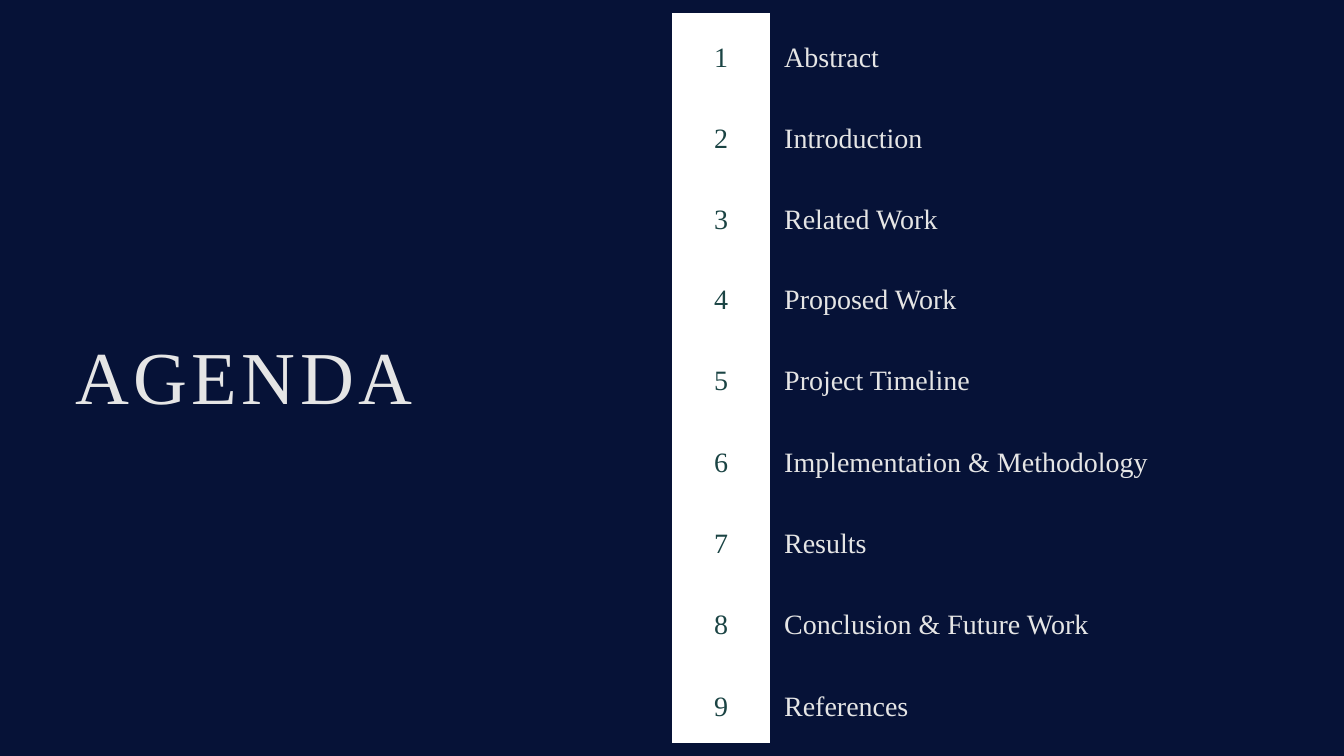
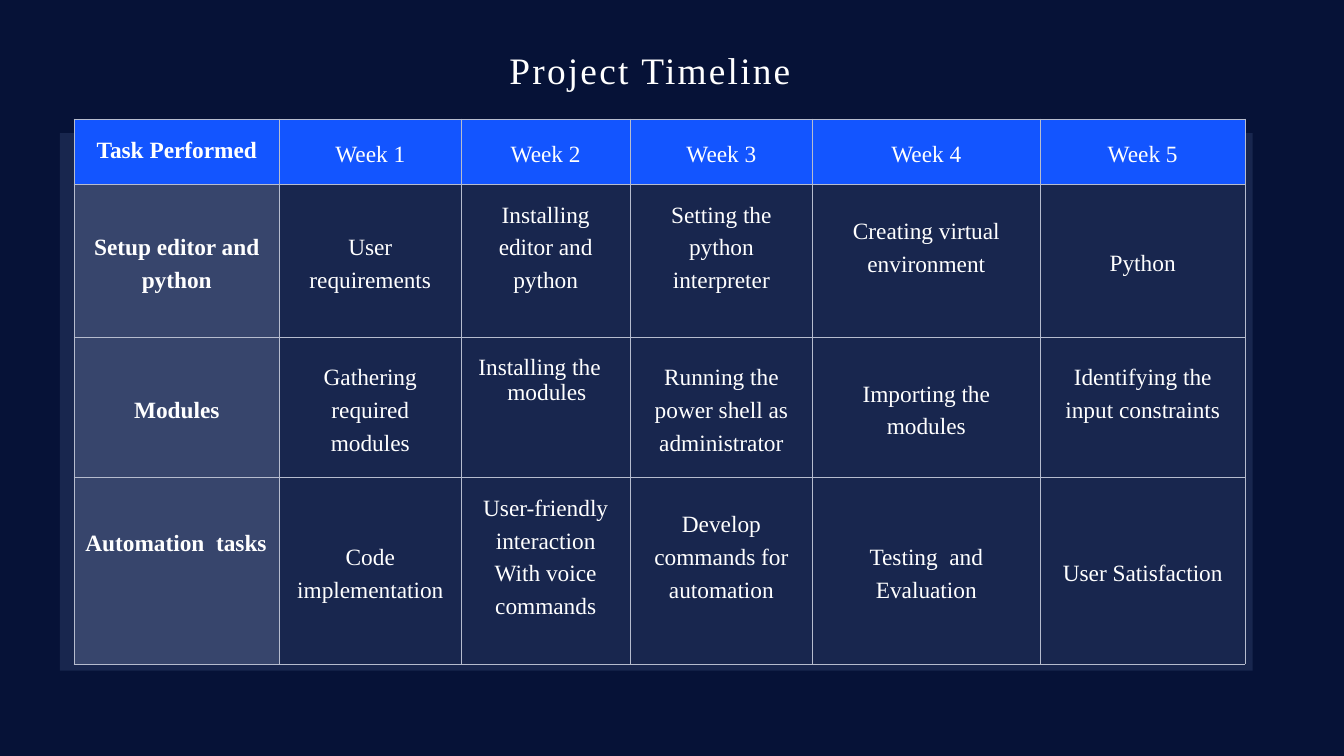
from lxml import etree
from pptx import Presentation
from pptx.dml.color import RGBColor
from pptx.enum.shapes import MSO_SHAPE
from pptx.enum.text import MSO_ANCHOR, MSO_AUTO_SIZE, PP_ALIGN
from pptx.oxml.ns import qn
from pptx.util import Inches, Pt

LEFT, CENTER, JUSTIFY = PP_ALIGN.LEFT, PP_ALIGN.CENTER, PP_ALIGN.JUSTIFY
TOP, MIDDLE = MSO_ANCHOR.TOP, MSO_ANCHOR.MIDDLE
RECTANGLE = MSO_SHAPE.RECTANGLE
NO_AUTOFIT = MSO_AUTO_SIZE.NONE

FONT = "Times New Roman"
COLORS = {
    "background": "061237",
    "light": "E5E5E5",
    "white": "FFFFFF",
    "number": "1B4444",
    "panel": "18264E",
    "header": "1355FF",
    "task": "37456C",
    "border": "B6BCCE",
}

AGENDA = [
    "Abstract", "Introduction", "Related Work", "Proposed Work",
    "Project Timeline", "Implementation & Methodology", "Results",
    "Conclusion & Future Work", "References",
]
AGENDA_ROWS = [1.21, 1.21, 1.18, 1.21, 1.21, 1.21, 1.21, 1.21, 1.21]

# Each cell holds its paragraphs, one a line
TIMELINE = [
    ["Task Performed", "Week 1", "Week 2", "Week 3", "Week 4", "Week 5"],
    ["Setup editor and python", "User requirements",
     "Installing editor and python", "Setting the python interpreter",
     "Creating virtual environment", "Python"],
    ["Modules", "Gathering required modules", "Installing the modules",
     "Running the power shell as administrator", "Importing the modules",
     "Identifying the input constraints"],
    ["Automation  tasks", "Code\nimplementation",
     "User-friendly interaction\nWith voice commands",
     "Develop commands for\nautomation", "Testing  and Evaluation",
     "User Satisfaction"],
]
TIMELINE_COLUMNS = [3.06, 2.7, 2.52, 2.71, 3.39, 3.05]
TIMELINE_ROWS = [0.97, 2.27, 2.08, 2.78]

# Cells whose text sits above the middle, with the room left below it
RAISED = {(1, 2): 0.48, (1, 3): 0.48, (1, 4): 0.48, (2, 5): 0.48,
          (3, 2): 0.48, (3, 3): 0.48, (2, 2): 0.8, (3, 0): 0.8}
# Cells with single line spacing, aligned left
SINGLE_SPACED = {(2, 2), (3, 0)}


def color(name):
    return RGBColor.from_string(COLORS[name])


def add_run(paragraph, text, size, color_name, bold=False, spacing=0):
    run = paragraph.add_run()
    run.text = text
    run.font.name = FONT
    run.font.size = Pt(size)
    run.font.bold = bold
    run.font.color.rgb = color(color_name)
    if spacing:
        run._r.get_or_add_rPr().set("spc", str(round(spacing * 100)))


def add_title_slide(presentation, text, box, size, color_name, alignment):
    """Add a slide with the shared background and title style."""
    slide = presentation.slides.add_slide(presentation.slide_layouts[5])
    slide.background.fill.solid()
    slide.background.fill.fore_color.rgb = color("background")
    title = slide.shapes.title
    title.left, title.top, title.width, title.height = map(Inches, box)
    frame = title.text_frame
    frame.margin_left = frame.margin_right = 0
    frame.margin_top = frame.margin_bottom = 0
    frame.vertical_anchor = TOP
    frame.auto_size = NO_AUTOFIT
    frame.word_wrap = True
    paragraph = frame.paragraphs[0]
    paragraph.alignment = alignment
    paragraph.line_spacing = Pt(size * 1.64)
    add_run(paragraph, text, size, color_name, spacing=size * 0.06)
    return slide


def add_plain_table(slide, left, top, columns, rows):
    frame = slide.shapes.add_table(
        len(rows), len(columns), Inches(left), Inches(top),
        Inches(sum(columns)), Inches(sum(rows)))
    table = frame.table
    table.first_row = table.horz_banding = False
    for column, width in zip(table.columns, columns):
        column.width = Inches(width)
    for row, height in zip(table.rows, rows):
        row.height = Inches(height)
    return table


def set_borders(cell, color_name=None):
    properties = cell._tc.get_or_add_tcPr()
    for side in ("a:lnL", "a:lnR", "a:lnT", "a:lnB"):
        line = etree.SubElement(properties, qn(side))
        if color_name is None:
            line.set("w", "0")
            etree.SubElement(line, qn("a:noFill"))
        else:
            line.set("w", str(Pt(0.75)))
            fill = etree.SubElement(line, qn("a:solidFill"))
            etree.SubElement(fill, qn("a:srgbClr"), val=COLORS[color_name])


def fill_cell(cell, text, size, color_name, alignment, margin, line_spacing,
              fill=None, border=None, bold=False, room_below=0):
    set_borders(cell, border)
    if fill:
        cell.fill.solid()
        cell.fill.fore_color.rgb = color(fill)
    else:
        cell.fill.background()
    cell.vertical_anchor = MIDDLE
    cell.margin_left = cell.margin_right = cell.margin_top = Inches(margin)
    cell.margin_bottom = Inches(margin + room_below)
    frame = cell.text_frame
    for index, line in enumerate(text.split("\n")):
        paragraph = frame.add_paragraph() if index else frame.paragraphs[0]
        paragraph.alignment = alignment
        paragraph.line_spacing = line_spacing
        add_run(paragraph, line, size, color_name, bold)


def add_agenda_table(slide, left, top):
    table = add_plain_table(slide, left, top, [1.46, 7.42], AGENDA_ROWS)
    for index, topic in enumerate(AGENDA):
        fill_cell(table.cell(index, 0), str(index + 1), 30, "number", CENTER,
                  0.21, Pt(42), fill="white")
        fill_cell(table.cell(index, 1), topic, 30, "light", JUSTIFY,
                  0.21, Pt(42))


def add_timeline_panel(slide, left, top, width, height):
    panel = slide.shapes.add_shape(
        RECTANGLE, Inches(left), Inches(top), Inches(width), Inches(height))
    panel.shadow.inherit = False
    panel.fill.solid()
    panel.fill.fore_color.rgb = color("panel")
    panel.line.fill.background()


def add_timeline_table(slide, left, top):
    table = add_plain_table(slide, left, top, TIMELINE_COLUMNS, TIMELINE_ROWS)
    for row, texts in enumerate(TIMELINE):
        for column, text in enumerate(texts):
            position = (row, column)
            single = position in SINGLE_SPACED
            spacing = 1.0 if single else Pt(35)
            if position == (0, 0):
                spacing = Pt(25.2)
            fill = "header" if row == 0 else "task" if column == 0 else None
            fill_cell(table.cell(row, column), text, 25, "white",
                      LEFT if single else CENTER, 0.17, spacing, fill,
                      "border", column == 0, RAISED.get(position, 0))
    # The second line of this cell is set further in than the first
    paragraph = table.cell(2, 2).text_frame.paragraphs[0]
    properties = paragraph._p.get_or_add_pPr()
    properties.set("marL", str(Inches(0.52)))
    properties.set("indent", str(Inches(-0.43)))


def add_agenda_slide(presentation):
    slide = add_title_slide(presentation, "AGENDA", (1.12, 4.42, 6.53, 1.87),
                            80, "light", LEFT)
    add_agenda_table(slide, 10, 0.2)


def add_timeline_slide(presentation):
    slide = add_title_slide(presentation, "Project Timeline",
                            (0.67, 0.46, 18.01, 0.93), 40, "white", CENTER)
    add_timeline_panel(slide, 0.89, 1.98, 17.75, 8)
    add_timeline_table(slide, 1.1, 1.77)


def main():
    presentation = Presentation()
    presentation.slide_width = Inches(20)
    presentation.slide_height = Inches(11.25)
    add_agenda_slide(presentation)
    add_timeline_slide(presentation)
    presentation.save("out.pptx")


if __name__ == "__main__":
    main()
